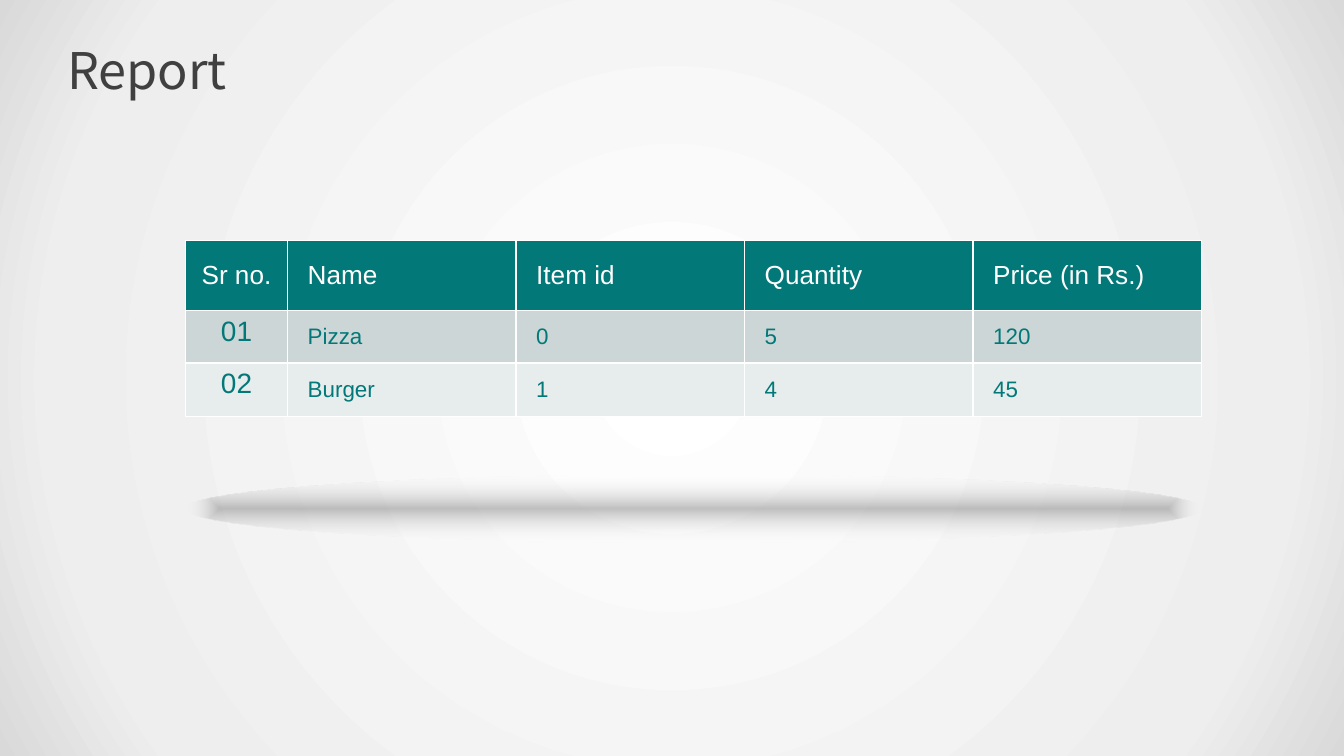
from dataclasses import dataclass

from lxml import etree
from pptx import Presentation, util as u
from pptx.dml.color import RGBColor
from pptx.enum import shapes, text
from pptx.oxml.ns import nsdecls, qn

HUES = {
    "teal": "027878", "white": "FFFFFF", "title": "404040",
    "odd": "CCD6D6", "even": "E7ECEC",
    "pale": "EEEEEE", "edge": "D9D9D9", "shade": "808080",
}
PAGE = 10  # slide width, in 16:9
LEFT, WIDE = 1.38, 7.56
COLS = [0.76] + [1.7] * 4


@dataclass
class Row:
    words: list[str]
    high: float
    fill: str
    hue: str
    size: int
    lead: int  # text size in the first column
    head: bool = False


@dataclass
class Stop:
    pos: int
    hue: str
    alpha: int = 100


ROWS = [
    Row(["Sr no.", "Name", "Item id", "Quantity", "Price (in Rs.)"],
        0.52, "teal", "white", 14, 14, True),
    Row(["01", "Pizza", "0", "5", "120"], 0.39, "odd", "teal", 12, 15),
    Row(["02", "Burger", "1", "4", "45"], 0.4, "even", "teal", 12, 15),
]


def apply(item, values: dict) -> None:
    for name, value in values.items():
        setattr(item, name, value)


def style(para, face: str, size: int, hue: str) -> None:
    apply(para.font, {"name": face, "size": u.Pt(size)})
    para.font.color.rgb = RGBColor.from_string(HUES[hue])


def radial(kind: str, stops: list[Stop]):
    """Gradient that spreads from the centre."""
    marks = "".join(
        f'<a:gs pos="{s.pos * 1000}"><a:srgbClr val="{HUES[s.hue]}">'
        f'<a:alpha val="{s.alpha * 1000}"/></a:srgbClr></a:gs>'
        for s in stops)
    return etree.fromstring(
        f'<a:gradFill {nsdecls("a")} rotWithShape="1"><a:gsLst>{marks}</a:gsLst>'
        f'<a:path path="{kind}"><a:fillToRect l="50000" t="50000" '
        f'r="50000" b="50000"/></a:path></a:gradFill>')


def border(cell) -> None:
    props = cell._tc.get_or_add_tcPr()
    for spot, side in enumerate(("lnL", "lnR", "lnT", "lnB")):
        props.insert(spot, etree.fromstring(
            f'<a:{side} {nsdecls("a")} w="{u.Pt(1)}"><a:solidFill>'
            f'<a:srgbClr val="{HUES["white"]}"/></a:solidFill></a:{side}>'))


def put_cell(cell, word: str, row: Row, first: bool) -> None:
    top = first and not row.head
    apply(cell, {
        "text": word,
        "margin_left": u.Inches(0.07 if first else 0.15),
        "margin_right": u.Inches(0.07),
        "margin_top": u.Inches(0.04),
        "margin_bottom": u.Inches(0.04),
        "vertical_anchor": text.MSO_ANCHOR.TOP if top else text.MSO_ANCHOR.MIDDLE,
    })
    para = cell.text_frame.paragraphs[0]
    para.alignment = text.PP_ALIGN.CENTER if first else text.PP_ALIGN.LEFT
    style(para, "Arial", row.lead if first else row.size, row.hue)
    cell.fill.solid()
    cell.fill.fore_color.rgb = RGBColor.from_string(HUES[row.fill])
    border(cell)


def put_table(slide) -> None:
    grid = slide.shapes.add_table(
        len(ROWS), len(COLS), u.Inches(LEFT), u.Inches(1.79),
        u.Inches(WIDE), u.Inches(sum(r.high for r in ROWS))).table
    for col, width in zip(grid.columns, COLS):
        col.width = u.Inches(width)
    for y, row in enumerate(ROWS):
        grid.rows[y].height = u.Inches(row.high)
        for x, word in enumerate(row.words):
            put_cell(grid.cell(y, x), word, row, x == 0)


def put_title(slide) -> None:
    # The title placeholder's stand-in: a plain box on the blank layout
    box = slide.shapes.add_textbox(
        u.Inches(0.5), u.Inches(0.23), u.Inches(9), u.Inches(0.57))
    frame = box.text_frame
    apply(frame, {
        "word_wrap": True, "vertical_anchor": text.MSO_ANCHOR.MIDDLE,
        "margin_left": 0, "margin_right": 0,
        "margin_top": u.Inches(0.07), "margin_bottom": u.Inches(0.07),
        "text": "Report",
    })
    style(frame.paragraphs[0], "Noto Sans CJK KR", 27, "title")


def put_shade(slide) -> None:
    oval = slide.shapes.add_shape(
        shapes.MSO_SHAPE.OVAL, u.Inches(LEFT), u.Inches(3.53),
        u.Inches(WIDE), u.Inches(0.51))
    oval.shadow.inherit = False
    oval.line.fill.background()
    outline = oval.element.spPr.find(qn("a:prstGeom"))
    outline.addnext(radial("shape", [Stop(0, "shade", 49), Stop(100, "white", 0)]))


def put_back(slide) -> None:
    slide.background.fill.solid()
    props = slide.element.find(".//" + qn("p:bgPr"))
    props.replace(props[0], radial("circle", [
        Stop(0, "white"), Stop(81, "pale"), Stop(100, "edge")]))


def main() -> None:
    deck = Presentation()
    apply(deck, {"slide_width": u.Inches(PAGE),
                 "slide_height": u.Inches(PAGE * 9 / 16)})
    slide = deck.slides.add_slide(deck.slide_layouts[6])
    # Backdrop and heading
    put_back(slide)
    put_title(slide)
    # Order table with the soft shade below it
    put_table(slide)
    put_shade(slide)
    deck.save("out.pptx")


if __name__ == "__main__":
    main()
